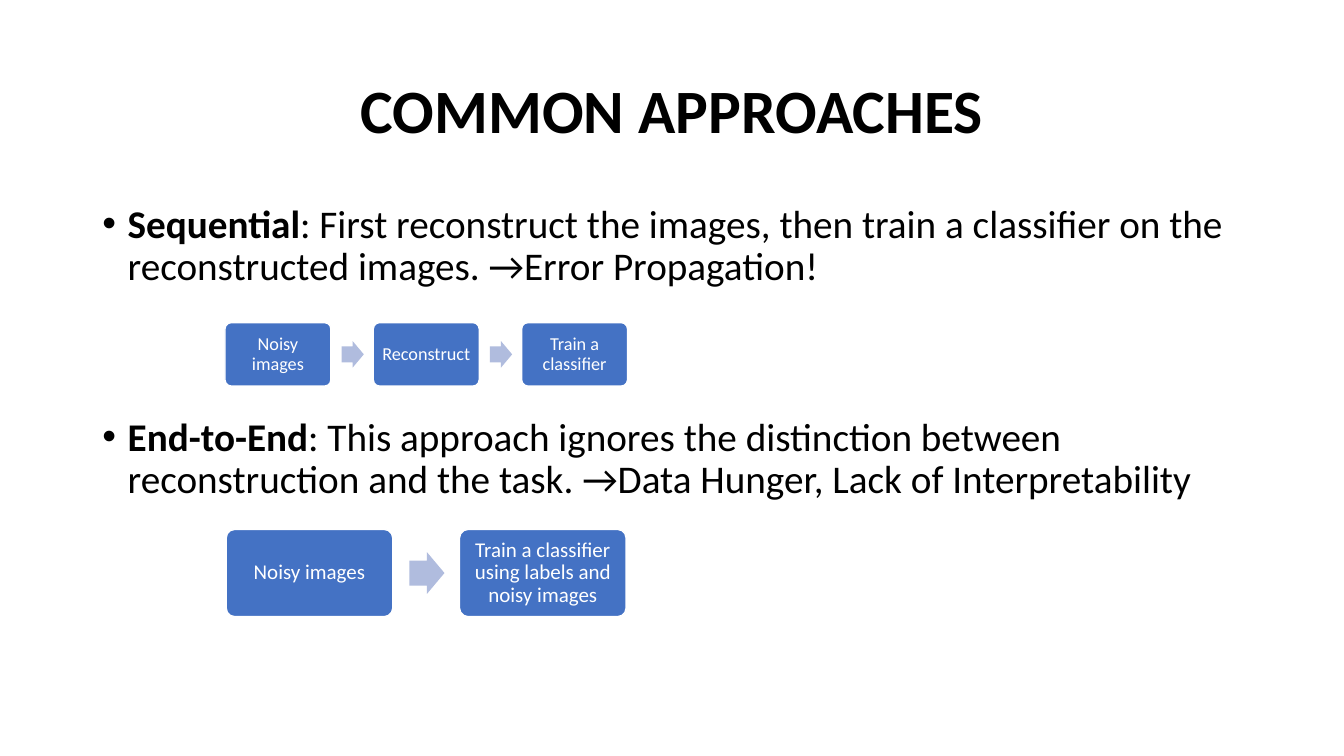
from lxml.etree import SubElement
from pptx import Presentation
from pptx.dml.color import RGBColor
from pptx.enum.shapes import MSO_SHAPE as SHAPE
from pptx.enum.text import MSO_ANCHOR as ANCHOR, PP_ALIGN as ALIGN
from pptx.oxml.ns import qn
from pptx.util import Cm, Pt

BLACK = RGBColor(0x00, 0x00, 0x00)
WHITE = RGBColor(0xFF, 0xFF, 0xFF)
BLUE = RGBColor(0x44, 0x72, 0xC4)
PALE_BLUE = RGBColor(0xB0, 0xBC, 0xDE)
FONT = "Calibri"
TITLE_ONLY = 5
LEFT, WIDTH = 2.33, 29.21

APPROACHES = [
    ("Sequential", ": First reconstruct the images, then train a classifier "
     "on the reconstructed images. →Error Propagation!"),
    ("End-to-End", ": This approach ignores the distinction between "
     "reconstruction and the task. →Data Hunger, Lack of Interpretability"),
]
SEQUENTIAL_STEPS = ["Noisy images", "Reconstruct", "Train a classifier"]
END_TO_END_STEPS = ["Noisy images",
                    "Train a classifier using labels and noisy images"]


def add_run(p, text, size, color, bold=False):
    r = p.add_run()
    r.text = text
    r.font.name = FONT
    r.font.size = Pt(size)
    r.font.bold = bold
    r.font.color.rgb = color


def set_title(s, text):
    title = s.shapes.title
    title.left, title.top = Cm(LEFT), Cm(1.01)
    title.width, title.height = Cm(WIDTH), Cm(3.68)
    tf = title.text_frame
    tf.word_wrap = True
    tf.vertical_anchor = ANCHOR.MIDDLE
    p = tf.paragraphs[0]
    p.alignment = ALIGN.CENTER
    p.line_spacing = 0.9
    add_run(p, text, 44, BLACK, True)


def add_bullets(s, items, gap):
    tf = s.shapes.add_textbox(Cm(LEFT), Cm(5.03), Cm(WIDTH), Cm(12.09)).text_frame
    tf.word_wrap = True
    for i, (term, text) in enumerate(items):
        p = tf.add_paragraph() if i else tf.paragraphs[0]
        pPr = p._p.get_or_add_pPr()
        pPr.set("marL", str(Cm(0.64)))
        pPr.set("indent", str(-Cm(0.64)))
        SubElement(pPr, qn("a:buFont")).set("typeface", "Arial")
        SubElement(pPr, qn("a:buChar")).set("char", "•")
        p.line_spacing = 0.9
        p.space_before = Pt(gap if i else 0)
        add_run(p, term, 28, BLACK, True)
        add_run(p, text, 28, BLACK)


def add_filled(s, kind, left, top, width, height, color):
    sp = s.shapes.add_shape(kind, Cm(left), Cm(top), Cm(width), Cm(height))
    sp.shadow.inherit = False
    sp.fill.solid()
    sp.fill.fore_color.rgb = color
    sp.line.fill.background()
    return sp


def add_step(s, text, left, top, width, height, size, inset):
    sp = add_filled(s, SHAPE.ROUNDED_RECTANGLE, left, top, width, height, BLUE)
    sp.adjustments[0] = 0.1
    sp.line.color.rgb = WHITE
    sp.line.width = Pt(1)
    tf = sp.text_frame
    tf.word_wrap = True
    tf.vertical_anchor = ANCHOR.MIDDLE
    tf.margin_left = tf.margin_right = Cm(inset)
    tf.margin_top = tf.margin_bottom = Cm(inset)
    p = tf.paragraphs[0]
    p.alignment = ALIGN.CENTER
    p.line_spacing = 0.9
    add_run(p, text, size, WHITE)


def add_arrow(s, left, middle, width, height):
    sp = add_filled(s, SHAPE.RIGHT_ARROW, left, middle - height / 2,
                    width, height, PALE_BLUE)
    sp.adjustments[0] = 0.6
    sp.adjustments[1] = 0.5


def add_flow(s, steps, left, top, width, height, size, inset):
    for i, text in enumerate(steps):
        x = left + i * 1.4 * width
        if i:
            add_arrow(s, x - 0.3 * width, top + height / 2,
                      0.21 * width, 0.25 * width)
        add_step(s, text, x, top, width, height, size, inset)


def main():
    prs = Presentation()
    prs.slide_width, prs.slide_height = Cm(33.87), Cm(19.05)
    s = prs.slides.add_slide(prs.slide_layouts[TITLE_ONLY])
    set_title(s, "COMMON APPROACHES")
    add_bullets(s, APPROACHES, 91.5)
    add_flow(s, SEQUENTIAL_STEPS, 5.67, 8.13, 2.67, 1.6, 13, 0.13)
    add_flow(s, END_TO_END_STEPS, 5.7, 13.34, 4.2, 2.2, 15, 0.15)
    prs.save("out.pptx")


if __name__ == "__main__":
    main()
